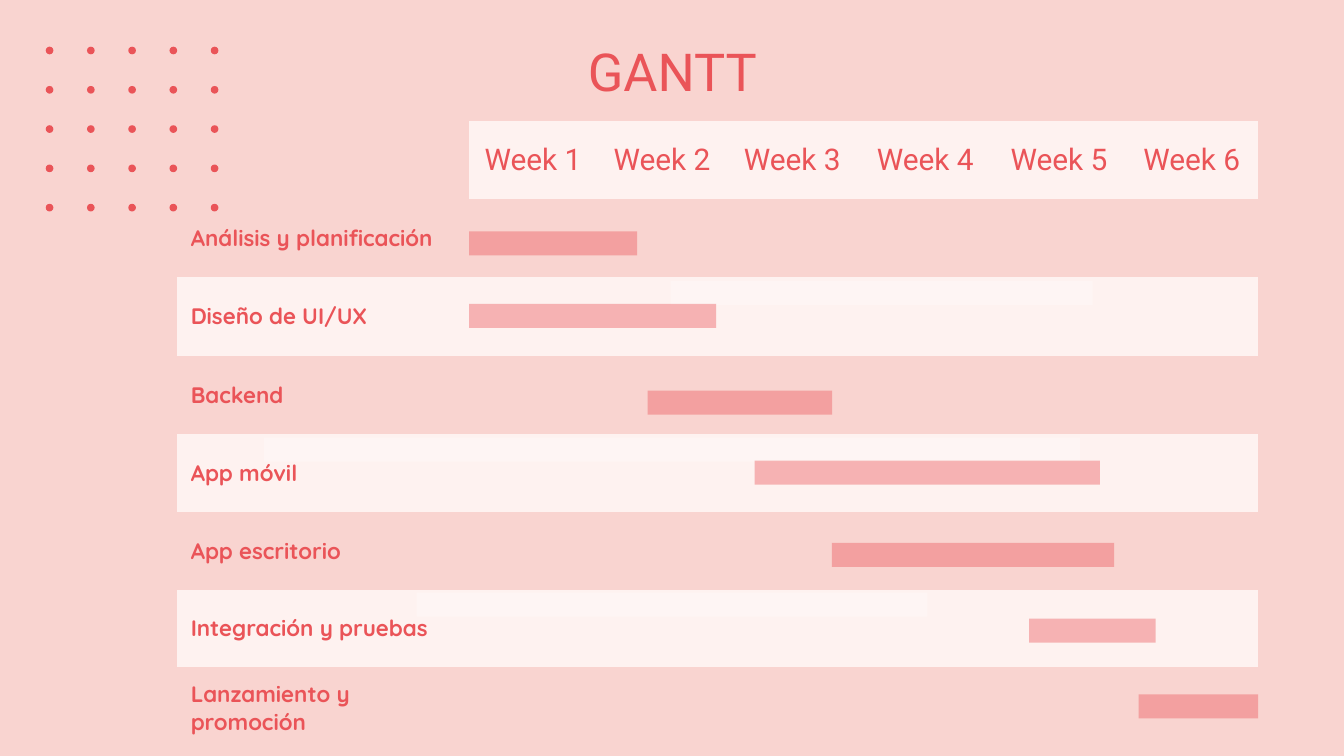
from itertools import product
from lxml import etree
from pptx import Presentation
from pptx.dml.color import RGBColor
from pptx.enum.shapes import MSO_SHAPE
from pptx.enum.text import MSO_ANCHOR, PP_ALIGN
from pptx.oxml.ns import qn
from pptx.util import Pt

RECT, OVAL = MSO_SHAPE.RECTANGLE, MSO_SHAPE.OVAL
LEFT, CENTER = PP_ALIGN.LEFT, PP_ALIGN.CENTER
TOP, MIDDLE = MSO_ANCHOR.TOP, MSO_ANCHOR.MIDDLE
PINK = RGBColor(0xF9, 0xD4, 0xD0)
CREAM = RGBColor(0xFE, 0xF2, 0xF0)
CORAL = RGBColor(0xEA, 0x54, 0x58)
WHITE = RGBColor(0xFF, 0xFF, 0xFF)
NO_GRID = "{2D5ABB26-0587-4C30-8999-92F81FD0307C}"

TITLE = "GANTT"
WEEKS = ["Week 1", "Week 2", "Week 3", "Week 4", "Week 5", "Week 6"]
TASKS = ["Análisis y planificación", "Diseño de UI/UX", "Backend", "App móvil",
         "App escritorio", "Integración y pruebas", "Lanzamiento y promoción"]
COLS = [156.4, 68.4, 69.8, 69.8, 72.7, 70.6, 71.6]
ROWS = [41.7, 41.8, 42.2, 41.8, 41.8, 41.8, 41.3, 41.8]
BAR = 12.9
GLOWS = [(359.3, 150.5, 226), (141.5, 234.4, 437), (223.2, 317.5, 273.6)]
BARS = [(251.3, 124, 90), (251.3, 162.8, 132.4), (347, 209.3, 98.8),
        (445.7, 290.8, 151.2), (404.3, 246.8, 185),
        (551.3, 331.4, 67.8), (610, 372, 64.1)]

HEAD = {"name": "Roboto", "size": Pt(28), "bold": False}
WEEK = {"name": "Roboto", "size": Pt(16), "bold": False}
TASK = {"name": "Quicksand", "size": Pt(12), "bold": True}
MARGINS = {"margin_left": Pt(7.2), "margin_right": Pt(7.2),
           "margin_top": Pt(7.2), "margin_bottom": Pt(7.2)}


def apply(item, values):
    for name, value in values.items():
        setattr(item, name, value)


def write(frame, text, font, align):
    para = frame.paragraphs[0]
    para.alignment = align
    run = para.add_run()
    run.text = text
    apply(run.font, font)
    run.font.color.rgb = CORAL


def draw(shapes, kind, box, color, alpha=100):
    shape = shapes.add_shape(kind, *map(Pt, box))
    shape.shadow.inherit = False
    shape.line.fill.background()
    shape.fill.solid()
    shape.fill.fore_color.rgb = color
    if alpha < 100:
        tint = shape.element.spPr.find(".//" + qn("a:srgbClr"))
        etree.SubElement(tint, qn("a:alpha"), val=str(alpha * 1000))


def add_dots(slide):
    group = slide.shapes.add_group_shape()
    for col, row in product(range(5), repeat=2):
        draw(group.shapes, OVAL, (24.5 + 22.1 * col, 25 + 21.05 * row, 4.1, 4.1), CORAL)


def add_title(slide):
    box = slide.shapes.add_textbox(Pt(56.7), Pt(13.7), Pt(607), Pt(45.4))
    frame = box.text_frame
    apply(frame, {**MARGINS, "word_wrap": True, "vertical_anchor": TOP})
    write(frame, TITLE, HEAD, CENTER)


def add_plan(slide):
    frame = slide.shapes.add_table(len(ROWS), len(COLS), Pt(95), Pt(64.9),
                                   Pt(sum(COLS)), Pt(sum(ROWS)))
    for style in frame.element.iter(qn("a:tableStyleId")):
        style.text = NO_GRID
    table = frame.table
    apply(table, {"first_row": False, "horz_banding": False})
    for col, width in zip(table.columns, COLS):
        col.width = Pt(width)
    for row, height in zip(table.rows, ROWS):
        row.height = Pt(height)
    for row, col in product(range(len(ROWS)), range(len(COLS))):
        cell = table.cell(row, col)
        apply(cell, {**MARGINS, "vertical_anchor": MIDDLE})
        if row % 2 == 0 and (row or col):
            cell.fill.solid()
            cell.fill.fore_color.rgb = CREAM
        else:
            cell.fill.background()
    for col, text in enumerate(WEEKS, 1):
        write(table.cell(0, col).text_frame, text, WEEK, CENTER)
    for row, text in enumerate(TASKS, 1):
        write(table.cell(row, 0).text_frame, text, TASK, LEFT)


def add_bars(slide):
    for group, color, alpha in ((GLOWS, WHITE, 28), (BARS, CORAL, 40)):
        for left, top, width in group:
            draw(slide.shapes, RECT, (left, top, width, BAR), color, alpha)


def main():
    deck = Presentation()
    apply(deck, {"slide_width": Pt(720), "slide_height": Pt(405)})
    slide = deck.slides.add_slide(deck.slide_layouts[6])
    slide.background.fill.solid()
    slide.background.fill.fore_color.rgb = PINK
    add_dots(slide)
    add_title(slide)
    add_plan(slide)
    add_bars(slide)
    deck.save("out.pptx")


if __name__ == "__main__":
    main()
